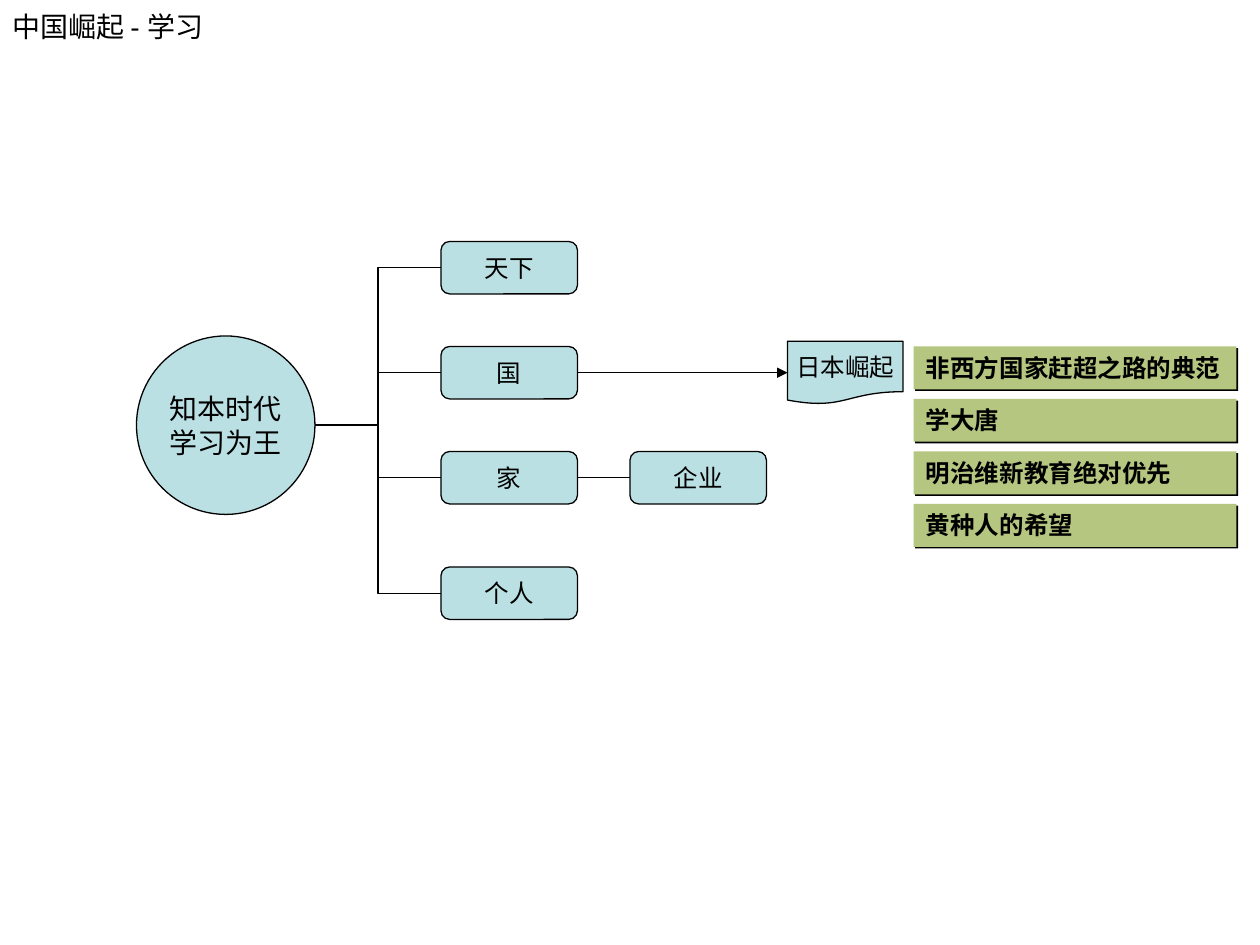
from lxml import etree
from pptx import Presentation
from pptx.dml.color import RGBColor
from pptx.enum import shapes, text
from pptx.oxml.ns import qn
from pptx.util import Pt

COLORS = {"ink": "000000", "node": "BBE0E3", "note": "B5C680"}
LATIN, CJK = "Arial", "Noto Sans CJK SC"
SHAPE = shapes.MSO_SHAPE
LINK = shapes.MSO_CONNECTOR


def rgb(name):
    return RGBColor.from_string(COLORS[name])


def write(sp, lines, size, font=LATIN, bold=False, align=text.PP_ALIGN.LEFT,
          anchor=text.MSO_ANCHOR.MIDDLE, wrap=True):
    tf = sp.text_frame
    tf.word_wrap = wrap
    tf.vertical_anchor = anchor
    tf.margin_left = tf.margin_right = Pt(7.2)
    tf.margin_top = tf.margin_bottom = Pt(3.6)
    tf.text = "\n".join(lines)
    for p in tf.paragraphs:
        p.alignment = align
        p.font.size = Pt(size)
        p.font.bold = bold
        p.font.name = font
        p.font.color.rgb = rgb("ink")
        props = p._p.pPr.find(qn("a:defRPr"))
        etree.SubElement(props, qn("a:ea"), typeface=CJK)


def add_node(s, kind, box, lines, size=14):
    sp = s.shapes.add_shape(kind, *map(Pt, box))
    sp.shadow.inherit = False
    sp.fill.solid()
    sp.fill.fore_color.rgb = rgb("node")
    sp.line.color.rgb = rgb("ink")
    sp.line.width = Pt(0.75)
    write(sp, lines, size, align=text.PP_ALIGN.CENTER, wrap=False)


def add_link(s, kind, start, end, arrow=False):
    c = s.shapes.add_connector(kind, *map(Pt, start + end))
    c.line.color.rgb = rgb("ink")
    c.line.width = Pt(0.75)
    if arrow:
        etree.SubElement(c.line._get_or_add_ln(), qn("a:tailEnd"), type="triangle")
    etree.SubElement(c._element.spPr, qn("a:effectLst"))


def add_title(s, x, y, w, h):
    sp = s.shapes.add_textbox(*map(Pt, (x, y, w, h)))
    write(sp, ["中国崛起 - 学习"], 16)


def add_tree(s, x, y):
    """Circle, four branches and their offshoots, from the top left corner."""
    size, node_w, node_h = 102, 78, 30
    branch_x = x + 174
    hub_y = y + 105
    add_node(s, SHAPE.FLOWCHART_CONNECTOR, (x, hub_y - size / 2, size, size),
             ["知本时代", "学习为王"], 16)

    # Branches
    mids = {}
    for name, dy in (("天下", 0), ("国", 60), ("家", 120), ("个人", 186)):
        mids[name] = y + dy + node_h / 2
        add_node(s, SHAPE.FLOWCHART_ALTERNATE_PROCESS,
                 (branch_x, y + dy, node_w, node_h), [name])
        add_link(s, LINK.ELBOW, (x + size, hub_y), (branch_x, mids[name]))

    # Offshoots
    right = branch_x + node_w
    firm_x, doc_x = right + 30, right + 120
    add_node(s, SHAPE.FLOWCHART_ALTERNATE_PROCESS,
             (firm_x, mids["家"] - node_h / 2, node_w, node_h), ["企业"])
    add_link(s, LINK.STRAIGHT, (right, mids["家"]), (firm_x, mids["家"]))
    add_node(s, SHAPE.FLOWCHART_DOCUMENT, (doc_x, mids["国"] - 18, 66, 36), ["日本崛起"])
    add_link(s, LINK.STRAIGHT, (right, mids["国"]), (doc_x, mids["国"]), arrow=True)


def add_notes(s, x, y, w, h, step, notes):
    for i, note in enumerate(notes):
        sp = s.shapes.add_shape(SHAPE.RECTANGLE, *map(Pt, (x, y + i * step, w, h)))
        sp.fill.solid()
        sp.fill.fore_color.rgb = rgb("note")
        sp.line.fill.background()
        # Hard shadow towards the lower right
        sp.shadow.inherit = False
        effects = sp._element.spPr.find(qn("a:effectLst"))
        shadow = etree.SubElement(effects, qn("a:outerShdw"), dist=str(Pt(1.4)),
                                  dir="2700000", algn="ctr", rotWithShape="0")
        etree.SubElement(shadow, qn("a:srgbClr"), val=COLORS["ink"])
        write(sp, [note], 14, CJK, bold=True, anchor=text.MSO_ANCHOR.TOP)


def main():
    prs = Presentation()
    prs.slide_width, prs.slide_height = Pt(720), Pt(540)
    s = prs.slides.add_slide(prs.slide_layouts[6])
    add_title(s, 0, 0, 324, 30)
    add_tree(s, 78, 138)
    add_notes(s, 522, 198, 184.5, 24.5, 30,
              ["非西方国家赶超之路的典范", "学大唐", "明治维新教育绝对优先", "黄种人的希望"])
    prs.save("out.pptx")


if __name__ == "__main__":
    main()
